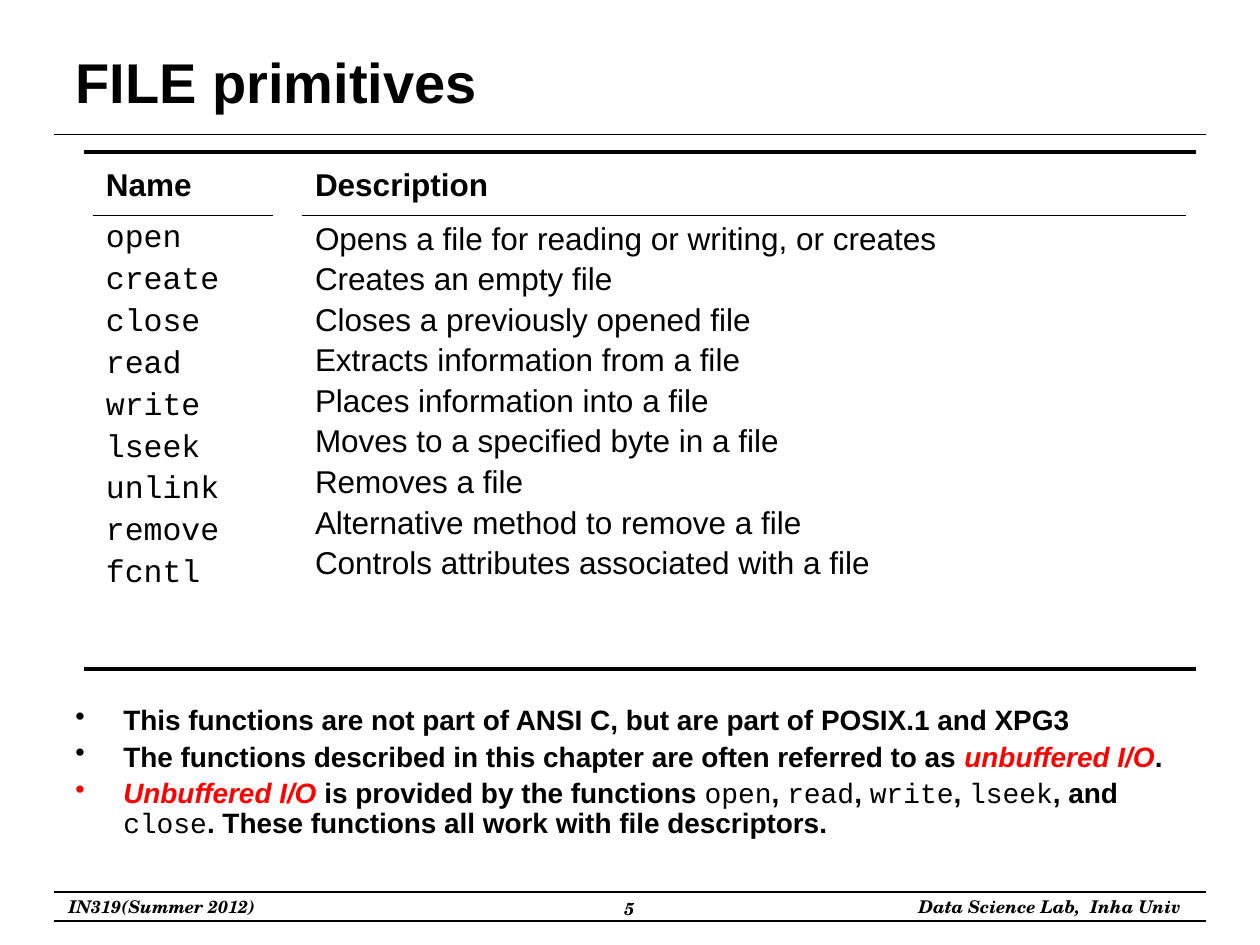
from lxml.etree import SubElement
from pptx import Presentation
from pptx.dml.color import RGBColor
from pptx.enum.shapes import MSO_CONNECTOR as Connector
from pptx.enum.text import MSO_ANCHOR as Anchor, PP_ALIGN as Align
from pptx.oxml.ns import qn
from pptx.util import Inches, Pt

THEME = {
    "ink": RGBColor(0, 0, 0),
    "accent": RGBColor(255, 0, 0),
    "paper": RGBColor(255, 255, 255),
    "sans": "Arial",
    "code": "Courier New",
    "serif": "TeX Gyre Schola",
    "title": 32,
    "table": 18,
    "bullet": 16,
    "footer": 10,
}

TITLE = "FILE primitives"
PRIMITIVES = [
    ("open", "Opens a file for reading or writing, or creates"),
    ("create", "Creates an empty file"),
    ("close", "Closes a previously opened file"),
    ("read", "Extracts information from a file"),
    ("write", "Places information into a file"),
    ("lseek", "Moves to a specified byte in a file"),
    ("unlink", "Removes a file"),
    ("remove", "Alternative method to remove a file"),
    ("fcntl", "Controls attributes associated with a file"),
]
NAMES, DESCRIPTIONS = zip(*PRIMITIVES)
COLUMNS = [
    ("Name", NAMES, "code", 0.74, 1.42, 3.5),
    ("Description", DESCRIPTIONS, "sans", 2.4, 7.01, 3),
]
BULLETS = [
    [("This functions are not part of ANSI C, but are part of POSIX.1 and XPG3", "plain")],
    [
        ("The functions described in this chapter are often referred to as ", "plain"),
        ("unbuffered I/O", "term"),
        (".", "plain"),
    ],
    [
        ("Unbuffered I/O", "term"),
        (" is provided by the functions ", "plain"),
        ("open", "code"),
        (", ", "plain"),
        ("read", "code"),
        (", ", "plain"),
        ("write", "code"),
        (", ", "plain"),
        ("lseek", "code"),
        (", and ", "plain"),
        ("close", "code"),
        (". These functions all work with file descriptors.", "plain"),
    ],
]
BULLET_STYLES = {
    "plain": {"bold": True},
    "term": {"bold": True, "italic": True, "color": "accent"},
    "code": {"face": "code"},
}
FOOTERS = [
    ("IN319(Summer 2012)", (0.41, 7.06, 1.75, 0.27), Align.CENTER, False),
    ("Data Science Lab,  Inha Univ", (7.16, 7.06, 2.31, 0.27), Align.RIGHT, False),
    ("5", (3.83, 7.08, 2.33, 0.31), Align.CENTER, True),
]
RULES = [
    (0.43, 9.57, 0.75, (1.07, 7.08, 7.31)),
    (0.67, 9.49, 2.25, (1.21, 5.31)),
]
TABLE_TOP, HEADER_HEIGHT, BODY_HEIGHT = 1.28, 0.43, 3.28


def style(font, size, face="sans", color="ink", bold=False, italic=False):
    font.name, font.size = THEME[face], Pt(THEME[size])
    font.bold, font.italic = bold, italic
    font.color.rgb = THEME[color]


def add_rule(slide, left, right, y, weight):
    rule = slide.shapes.add_connector(
        Connector.STRAIGHT, Inches(left), Inches(y), Inches(right), Inches(y))
    rule.line.color.rgb = THEME["ink"]
    rule.line.width = Pt(weight)
    SubElement(rule._element.spPr, qn("a:effectLst"))


def add_text_frame(slide, box, wrap=True):
    frame = slide.shapes.add_textbox(*map(Inches, box)).text_frame
    frame.word_wrap = wrap
    return frame


def add_border(cell, side):
    border = SubElement(cell._tc.get_or_add_tcPr(), qn(f"a:{side}"), w=str(Pt(1)))
    fill = SubElement(border, qn("a:solidFill"))
    SubElement(fill, qn("a:srgbClr"), val=str(THEME["ink"]))


def add_column(slide, heading, entries, face, left, width, gap):
    table = slide.shapes.add_table(
        2, 1, Inches(left), Inches(TABLE_TOP), Inches(width),
        Inches(HEADER_HEIGHT + BODY_HEIGHT)).table
    table.first_row = table.horz_banding = False
    table.rows[0].height = Inches(HEADER_HEIGHT)
    table.rows[1].height = Inches(BODY_HEIGHT)
    header, body = table.cell(0, 0), table.cell(1, 0)
    header.text_frame.text = heading
    style(header.text_frame.paragraphs[0].runs[0].font, "table", bold=True)
    body.text_frame.text = "\n".join(entries)
    for index, entry in enumerate(body.text_frame.paragraphs):
        if index:
            entry.space_before = Pt(gap)
        style(entry.runs[0].font, "table", face)
    for cell, side in ((header, "lnB"), (body, "lnT")):
        add_border(cell, side)
        cell.fill.solid()
        cell.fill.fore_color.rgb = THEME["paper"]


def add_bullets(slide):
    frame = add_text_frame(slide, (0.5, 5.56, 9.15, 1.26))
    for index, parts in enumerate(BULLETS):
        bullet = frame.add_paragraph() if index else frame.paragraphs[0]
        properties = bullet._p.get_or_add_pPr()
        properties.set("marL", str(Inches(0.38)))
        properties.set("indent", str(-Inches(0.38)))
        SubElement(properties, qn("a:buChar"), char="•")
        bullet.line_spacing = 0.9
        if index:
            bullet.space_before = Pt(3.5)
        for wording, kind in parts:
            run = bullet.add_run()
            run.text = wording
            style(run.font, "bullet", **BULLET_STYLES[kind])


def add_title(slide):
    title = slide.shapes.title
    title.left, title.top, title.width, title.height = map(Inches, (0.5, 0.3, 9, 0.69))
    title.text_frame.text = TITLE
    title.text_frame.vertical_anchor = Anchor.MIDDLE
    heading = title.text_frame.paragraphs[0]
    heading.alignment = Align.LEFT
    style(heading.runs[0].font, "title", bold=True)


def main():
    deck = Presentation()
    deck.slide_width, deck.slide_height = Inches(10), Inches(7.5)
    slide = deck.slides.add_slide(deck.slide_layouts[5])
    add_title(slide)
    for left, right, weight, heights in RULES:
        for y in heights:
            add_rule(slide, left, right, y, weight)
    for column in COLUMNS:
        add_column(slide, *column)
    add_bullets(slide)
    for wording, box, alignment, wrap in FOOTERS:
        footer = add_text_frame(slide, box, wrap).paragraphs[0]
        footer.text = wording
        footer.alignment = alignment
        style(footer.runs[0].font, "footer", "serif", bold=True, italic=True)
    deck.save("out.pptx")


if __name__ == "__main__":
    main()
